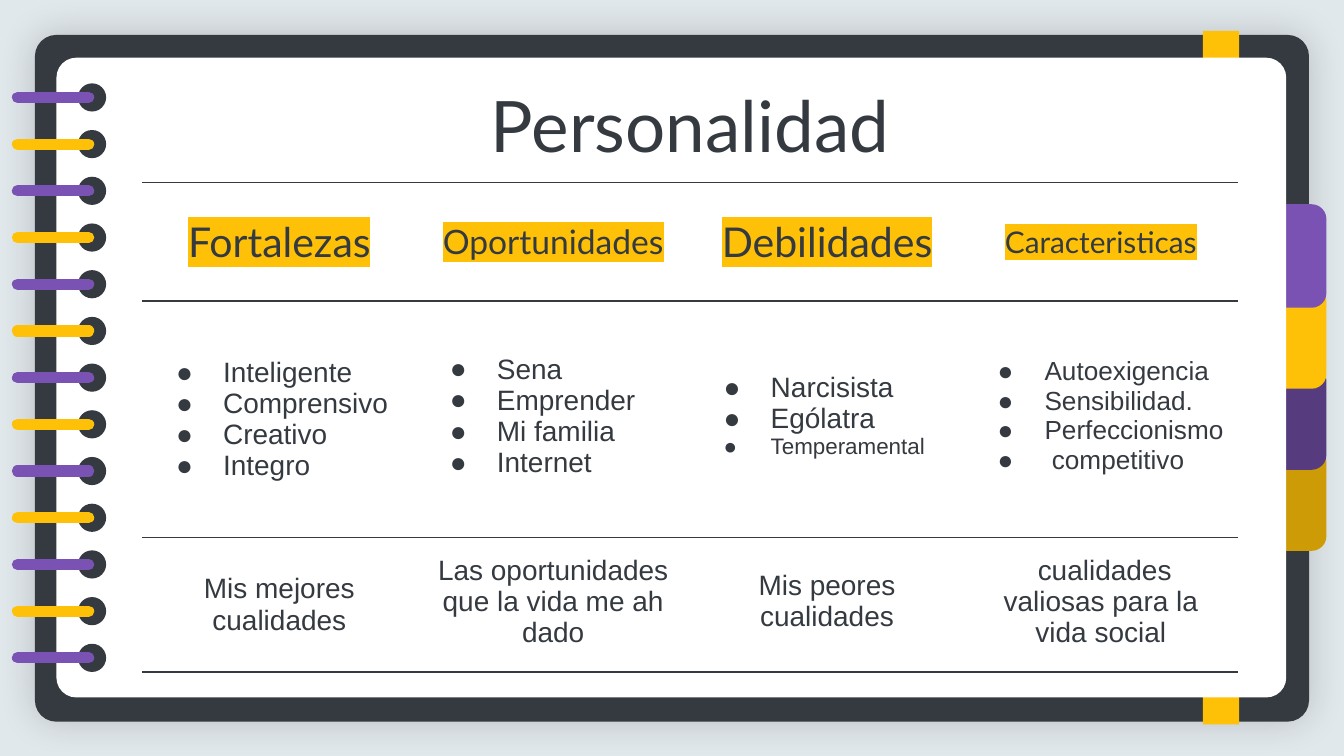
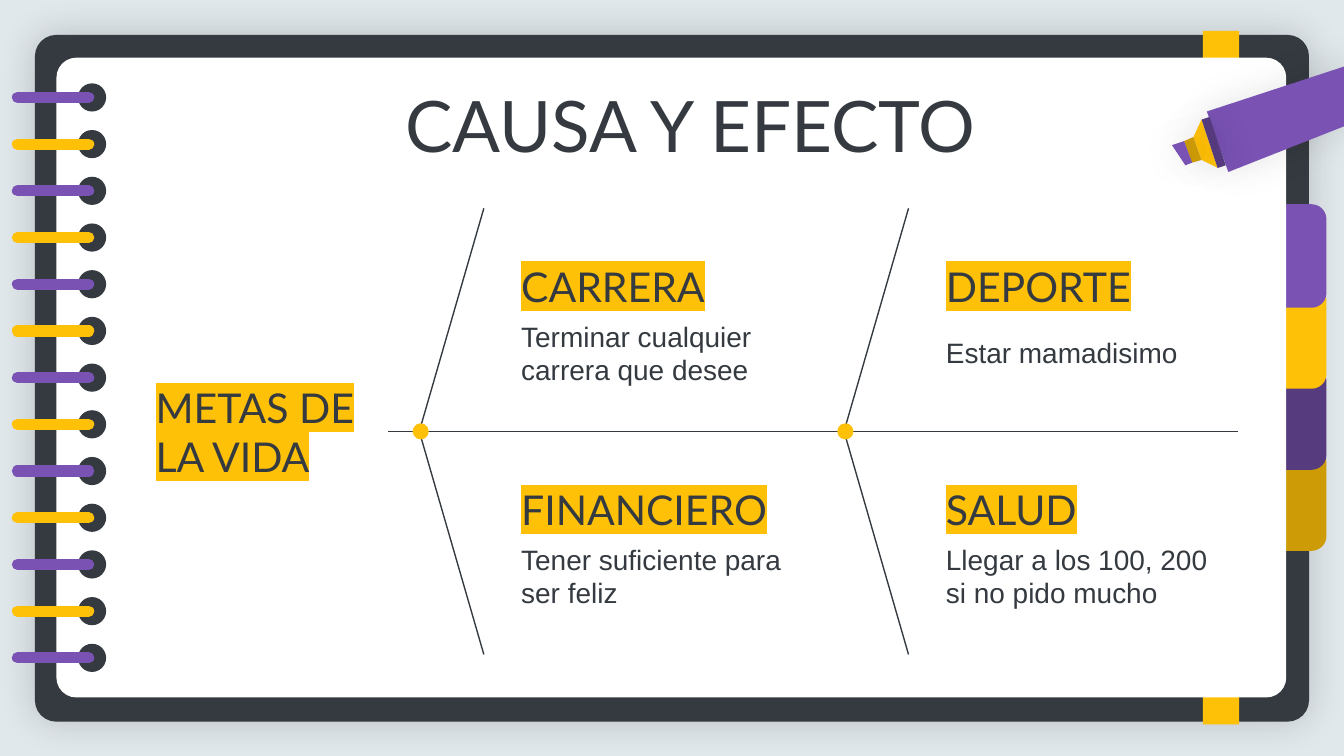
import dataclasses
import itertools

import lxml.etree
import pptx
import pptx.dml.color
import pptx.enum.shapes
import pptx.enum.text
import pptx.oxml.ns
import pptx.util

Inches = pptx.util.Inches
SHAPE = pptx.enum.shapes.MSO_SHAPE
ANCHOR = pptx.enum.text.MSO_ANCHOR
ALIGN = pptx.enum.text.PP_ALIGN


@dataclasses.dataclass(frozen=True)
class Theme:
    backdrop: str = "E1E8EB"
    ink: str = "343A40"
    paper: str = "FFFFFF"
    shade: str = "000000"
    purple: str = "7952B3"
    yellow: str = "FFC107"
    dark_purple: str = "563B7F"
    dark_yellow: str = "CC9B06"
    heading_font: str = "Lato"
    body_font: str = "Arial"
    title_size: float = 38
    heading_size: float = 22
    body_size: float = 15
    rule_width: float = 0.75
    spiral_width: float = 6
    shadow_blur: float = 20.2


@dataclasses.dataclass(frozen=True)
class Box:
    left: float
    top: float
    width: float
    height: float

    def inside(self, left, top, width, height):
        return Box(self.left + left, self.top + top, width, height)

    def lengths(self):
        return [Inches(value) for value in dataclasses.astuple(self)]


THEME = Theme()
PAGE = Box(0, 0, 10, 10 * 9 / 16)
NOTEBOOK = Box(0.26, 0.26, 9.48, 5.11)
TITLE = Box(1.06, 0.51, 8.15, 0.65)
SWOT = Box(1.06, 1.36, 8.15, 3.64)
FISHBONE = Box(1.06, 1.55, 8.15, 3.32)
MARKER = Box(8.72, 0.45, 1.56, 0.83)

SWOT_ROWS = (0.88, 1.76, 0.88)
SWOT_COLUMNS = [
    ("Fortalezas", 22,
     [("Inteligente", 15), ("Comprensivo", 15), ("Creativo", 15), ("Integro", 15)],
     "Mis mejores cualidades"),
    ("Oportunidades", 18,
     [("Sena", 15), ("Emprender", 15), ("Mi familia", 15), ("Internet", 15)],
     "Las oportunidades que la vida me ah dado"),
    ("Debilidades", 22,
     [("Narcisista", 15), ("Ególatra", 15), ("Temperamental", 12)],
     "Mis peores cualidades"),
    ("Caracteristicas", 16,
     [("Autoexigencia", 14), ("Sensibilidad.", 14), ("Perfeccionismo", 14), (" competitivo", 14)],
     " cualidades valiosas para la vida social"),
]

GOALS = [
    [("CARRERA", "Terminar cualquier carrera que desee"),
     ("FINANCIERO", "Tener suficiente para ser feliz")],
    [("DEPORTE", "Estar mamadisimo"),
     ("SALUD", "Llegar a los 100, 200 si no pido mucho")],
]


def rgb(color):
    return pptx.dml.color.RGBColor.from_string(color)


def add_xml(parent, tag, **attributes):
    return lxml.etree.SubElement(parent, pptx.oxml.ns.qn(tag), attributes)


def paint(shape, color, shadow_alpha=None):
    shape.shadow.inherit = False
    shape.fill.solid()
    shape.fill.fore_color.rgb = rgb(color)
    shape.line.fill.background()
    if shadow_alpha:
        effects = shape._element.spPr.find(pptx.oxml.ns.qn("a:effectLst"))
        shadow = add_xml(effects, "a:outerShdw", blurRad=str(pptx.util.Pt(THEME.shadow_blur)),
                         dist="0", dir="0", algn="ctr", rotWithShape="0")
        tint = add_xml(shadow, "a:srgbClr", val=THEME.shade)
        add_xml(tint, "a:alpha", val=str(shadow_alpha * 1000))


def add_block(slide, kind, box, color, corner=None, shadow_alpha=None):
    block = slide.shapes.add_shape(kind, *box.lengths())
    if corner is not None:
        block.adjustments[0] = corner
    paint(block, color, shadow_alpha)


def add_line(slide, start, end, color=THEME.ink, width=THEME.rule_width, rounded=False):
    points = [Inches(value) for value in (*start, *end)]
    line = slide.shapes.add_connector(pptx.enum.shapes.MSO_CONNECTOR.STRAIGHT, *points)
    line.line.color.rgb = rgb(color)
    line.line.width = pptx.util.Pt(width)
    if rounded:
        line.line._get_or_add_ln().set("cap", "rnd")
    add_xml(line._element.spPr, "a:effectLst")


def write(paragraph, text, size=THEME.body_size, font=THEME.body_font,
          align=ALIGN.LEFT, highlight=None, bullet=False):
    paragraph.alignment = align
    if bullet:
        properties = paragraph._p.get_or_add_pPr()
        properties.set("marL", str(Inches(0.5)))
        properties.set("indent", str(Inches(-0.35)))
        add_xml(add_xml(properties, "a:buClr"), "a:srgbClr", val=THEME.ink)
        add_xml(properties, "a:buSzPct", val="100000")
        add_xml(properties, "a:buFont", typeface=font)
        add_xml(properties, "a:buChar", char="●")
    run = paragraph.add_run()
    run.text = text
    run.font.size = pptx.util.Pt(size)
    run.font.color.rgb = rgb(THEME.ink)
    if highlight:
        mark = add_xml(run._r.get_or_add_rPr(), "a:highlight")
        add_xml(mark, "a:srgbClr", val=highlight)
    run.font.name = font


def add_text(slide, box, text, anchor=ANCHOR.MIDDLE, **style):
    frame = slide.shapes.add_textbox(*box.lengths()).text_frame
    frame.word_wrap = True
    frame.vertical_anchor = anchor
    frame.margin_left = frame.margin_right = Inches(0.1)
    frame.margin_top = frame.margin_bottom = Inches(0.1)
    write(frame.paragraphs[0], text, **style)


def add_heading(slide, box, text):
    add_text(slide, box, text, size=THEME.heading_size, font=THEME.heading_font,
             highlight=THEME.yellow)


def draw_notebook(slide, box):
    add_block(slide, SHAPE.ROUNDED_RECTANGLE, box, THEME.ink, 0.031, 19)
    add_block(slide, SHAPE.RECTANGLE, box.inside(8.69, -0.03, 0.27, 5.16), THEME.yellow)
    tabs = [THEME.purple, THEME.yellow, THEME.dark_purple, THEME.dark_yellow]
    for index, color in reversed(list(enumerate(tabs))):
        tab = box.inside(8.95, 1.26 + index * 0.603, 0.66, 0.77)
        add_block(slide, SHAPE.ROUNDED_RECTANGLE, tab, color, 0.167)
    add_block(slide, SHAPE.ROUNDED_RECTANGLE, box.inside(0.16, 0.17, 9.15, 4.76),
              THEME.paper, 0.031)
    draw_spiral(slide, box.inside(-0.13, 0.36, 0.66, 4.38))


def draw_spiral(slide, box, rings=13, hole=0.21):
    pitch = (box.height - hole) / (rings - 1)
    colors = itertools.cycle([THEME.purple, THEME.yellow])
    for index, color in zip(range(rings), colors):
        top = index * pitch
        add_block(slide, SHAPE.OVAL, box.inside(box.width - hole, top, hole, hole), THEME.ink)
        middle = box.top + top + hole / 2
        add_line(slide, (box.left, middle), (box.left + 0.53, middle),
                 color, THEME.spiral_width, rounded=True)


def start_slide(deck):
    slide = deck.slides.add_slide(deck.slide_layouts[6])
    slide.background.fill.solid()
    slide.background.fill.fore_color.rgb = rgb(THEME.backdrop)
    draw_notebook(slide, NOTEBOOK)
    return slide


def draw_title(slide, box, text):
    add_text(slide, box, text, anchor=ANCHOR.TOP, size=THEME.title_size,
             font=THEME.heading_font, align=ALIGN.CENTER)


def format_cell(cell, bottom_margin):
    cell.vertical_anchor = ANCHOR.MIDDLE
    cell.margin_left = cell.margin_right = cell.margin_top = Inches(0.1)
    cell.margin_bottom = Inches(bottom_margin)
    properties = cell._tc.get_or_add_tcPr()
    for side in ("L", "R"):
        add_xml(add_xml(properties, f"a:ln{side}", w="0"), "a:noFill")
    for side in ("T", "B"):
        rule = add_xml(properties, f"a:ln{side}", w=str(pptx.util.Pt(THEME.rule_width)))
        add_xml(add_xml(rule, "a:solidFill"), "a:srgbClr", val=THEME.ink)
    cell.fill.background()


def draw_swot(slide, box):
    holder = slide.shapes.add_table(len(SWOT_ROWS), len(SWOT_COLUMNS), *box.lengths())
    swot = holder.table
    swot.first_row = swot.horz_banding = False
    for column in swot.columns:
        column.width = Inches(box.width / len(SWOT_COLUMNS))
    for row, height in zip(swot.rows, SWOT_ROWS):
        row.height = Inches(height)
    holder.height = Inches(box.height)
    for index, (heading, size, traits, summary) in enumerate(SWOT_COLUMNS):
        heading_cell, traits_cell, summary_cell = (swot.cell(row, index) for row in range(3))
        lower_margin = 0.15 if index else 0.1
        format_cell(heading_cell, 0.1)
        format_cell(traits_cell, lower_margin)
        format_cell(summary_cell, lower_margin)
        write(heading_cell.text_frame.paragraphs[0], heading, size=size,
              font=THEME.heading_font, align=ALIGN.CENTER, highlight=THEME.yellow)
        frame = traits_cell.text_frame
        for position, (trait, trait_size) in enumerate(traits):
            paragraph = frame.add_paragraph() if position else frame.paragraphs[0]
            write(paragraph, trait, size=trait_size, bullet=True)
        write(summary_cell.text_frame.paragraphs[0], summary, align=ALIGN.CENTER)


def draw_fishbone(slide, box):
    half = box.height / 2
    middle = box.top + half
    right = box.left + box.width
    add_line(slide, (box.left + 1.83, middle), (right, middle))
    for index, pair in enumerate(GOALS):
        joint = 2.06 + index * 3.16
        start = box.left + joint
        for end in (box.top, box.top + box.height):
            add_line(slide, (start, middle), (start + 0.48, end))
        add_block(slide, SHAPE.OVAL, box.inside(joint - 0.05, half - 0.06, 0.12, 0.12),
                  THEME.yellow)
        for row, (goal, detail) in enumerate(pair):
            top = 0.37 + row * half
            add_heading(slide, box.inside(joint + 0.66, top, 2.27, 0.41), goal)
            add_text(slide, box.inside(joint + 0.66, top + 0.43, 2.27, 0.55), detail)
    add_heading(slide, box.inside(0, half - 0.52, 1.83, 1.04), "METAS DE LA VIDA")


def draw_marker(slide, box):
    parts = [
        (THEME.purple, [(0.26, 0.38), (0.42, 0.83), (1.56, 0.38), (1.42, 0)]),
        (THEME.yellow, [(0.22, 0.44), (0.16, 0.57), (0.22, 0.74), (0.34, 0.8)]),
        (THEME.dark_purple, [(0.22, 0.44), (0.34, 0.8), (0.4, 0.78), (0.28, 0.42)]),
        (THEME.dark_yellow, [(0.09, 0.6), (0.15, 0.76), (0.22, 0.74), (0.16, 0.57)]),
        (THEME.purple, [(0, 0.63), (0.1, 0.78), (0.15, 0.76), (0.09, 0.6)]),
    ]
    for color, corners in parts:
        start, *others = [(Inches(box.left + x), Inches(box.top + y)) for x, y in corners]
        outline = slide.shapes.build_freeform(*start)
        outline.add_line_segments(others, close=True)
        paint(outline.convert_to_shape(), color, 10)


def main():
    deck = pptx.Presentation()
    deck.slide_width = Inches(PAGE.width)
    deck.slide_height = Inches(PAGE.height)

    personality = start_slide(deck)
    draw_title(personality, TITLE, "Personalidad")
    draw_swot(personality, SWOT)

    goals = start_slide(deck)
    draw_title(goals, TITLE, "CAUSA Y EFECTO")
    draw_fishbone(goals, FISHBONE)
    draw_marker(goals, MARKER)

    deck.save("out.pptx")


if __name__ == "__main__":
    main()
